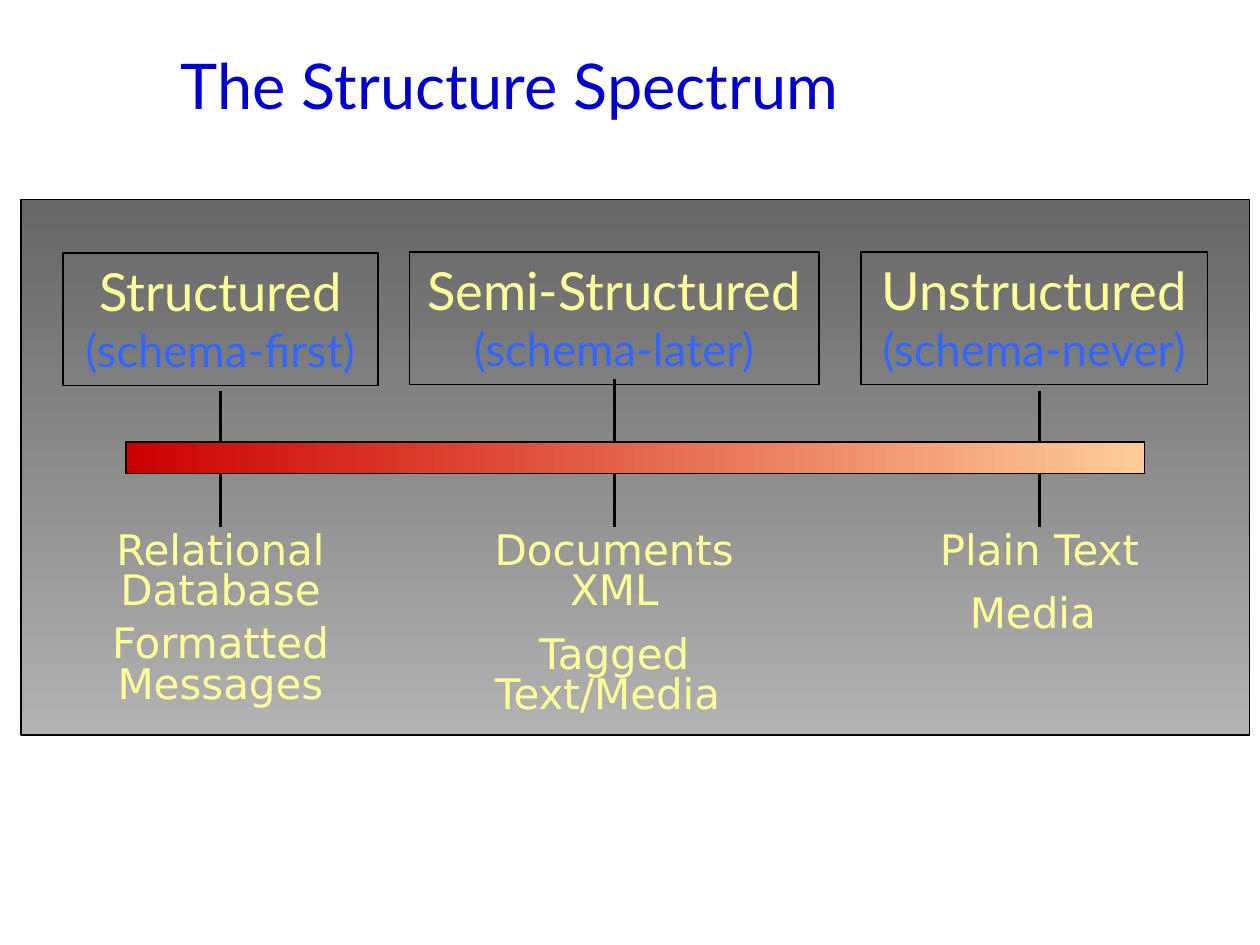
"""Build a slide that places kinds of data along a spectrum of structure."""
from lxml import etree
from pptx import Presentation
from pptx.dml.color import RGBColor
from pptx.enum.shapes import MSO_CONNECTOR, MSO_SHAPE
from pptx.enum.text import MSO_ANCHOR, PP_ALIGN
from pptx.oxml.ns import qn
from pptx.util import Inches, Pt

RECTANGLE, STRAIGHT = MSO_SHAPE.RECTANGLE, MSO_CONNECTOR.STRAIGHT
LEFT, CENTER = PP_ALIGN.LEFT, PP_ALIGN.CENTER
TOP, MIDDLE = MSO_ANCHOR.TOP, MSO_ANCHOR.MIDDLE

THEME = {
    "heading_font": "Lato", "example_font": "DejaVu Sans",
    "title": "0000CC", "heading": "FFFF99", "schema": "3366FF", "outline": "000000",
    "panel": ("666666", "B2B2B2"), "spectrum": ("CC0000", "FFCC99"),
    "title_size": 36, "heading_size": 30, "schema_size": 26, "example_size": 24,
}

prs = Presentation()
prs.slide_width, prs.slide_height = Inches(10), Inches(7.5)
CELL = prs.slide_width / 120
slide = prs.slides.add_slide(prs.slide_layouts[5])


def grid(*cells):
    """Turn grid cells into slide lengths."""
    return [round(cell * CELL) for cell in cells]


def add_box(parent, area, gradient=None, angle=0):
    """Add an outlined rectangle, filled with a gradient if one is given."""
    box = parent.add_shape(RECTANGLE, *grid(*area))
    box.shadow.inherit = False
    box.line.color.rgb = RGBColor.from_string(THEME["outline"])
    box.line.width = Pt(0.75)
    if gradient:
        box.fill.gradient()
        box.fill.gradient_angle = angle
        for stop, color in zip(box.fill.gradient_stops, gradient):
            stop.color.rgb = RGBColor.from_string(color)
    else:
        box.fill.background()
    return box


title = slide.shapes.title
title.left, title.top, title.width, title.height = grid(16, 2, 102, 12)
title.text_frame.text = "The Structure Spectrum"
title.text_frame.vertical_anchor = MIDDLE
title_line = title.text_frame.paragraphs[0]
title_line.alignment = LEFT
title_line.font.name = THEME["heading_font"]
title_line.font.size = Pt(THEME["title_size"])
title_line.font.color.rgb = RGBColor.from_string(THEME["title"])

add_box(slide.shapes, (2, 19, 117, 51), THEME["panel"], 270)

BAR_TOP, BAR_BOTTOM, EXAMPLES_TOP = 42.1, 45.1, 50.2
columns = [
    ("Structured ", "(schema-first)", (6, 24.1, 30, 12.6), 21, 37.2,
     [("Relational Database", 50.2, 22.7), ("Formatted Messages", 59.1, 26)]),
    ("Semi-Structured ", "(schema-later)", (39, 24, 39, 12.6), 58.5, 36.1,
     [("Documents\vXML", 50.2, 26.9), ("Tagged Text/Media ", 60.1, 26)]),
    ("Unstructured ", "(schema-never)", (82, 24, 33, 12.6), 99, 37.2,
     [("Plain Text", 50.2, 22.7), ("Media ", 56.2, 26)]),
]

for heading, schema, area, center, tick_top, examples in columns:
    column = slide.shapes.add_group_shape().shapes

    for start, end in ((tick_top, BAR_TOP), (BAR_BOTTOM, EXAMPLES_TOP)):
        tick = column.add_connector(STRAIGHT, *grid(center, start, center, end))
        tick.line.color.rgb = RGBColor.from_string(THEME["outline"])
        tick.line.width = Pt(1.5)
        etree.SubElement(tick._element.spPr, qn("a:effectLst"))

    heading_frame = add_box(column, area).text_frame
    heading_frame.word_wrap = True
    heading_frame.vertical_anchor = TOP
    heading_line = heading_frame.paragraphs[0]
    heading_line.alignment = CENTER
    heading_line.font.name = THEME["heading_font"]
    for words, role in ((heading, "heading"), (schema, "schema")):
        run = heading_line.add_run()
        run.text = words
        run.font.size = Pt(THEME[role + "_size"])
        run.font.color.rgb = RGBColor.from_string(THEME[role])

    for words, top, width in examples:
        example = column.add_textbox(*grid(center - width / 2, top, width, 8.9))
        example.text_frame.word_wrap = True
        example_line = example.text_frame.paragraphs[0]
        example_line.text = words
        example_line.alignment = CENTER
        example_line.line_spacing = 0.8
        example_line.font.name = THEME["example_font"]
        example_line.font.size = Pt(THEME["example_size"])
        example_line.font.color.rgb = RGBColor.from_string(THEME["heading"])

add_box(slide.shapes, (12, BAR_TOP, 97, BAR_BOTTOM - BAR_TOP), THEME["spectrum"])

prs.save("out.pptx")
